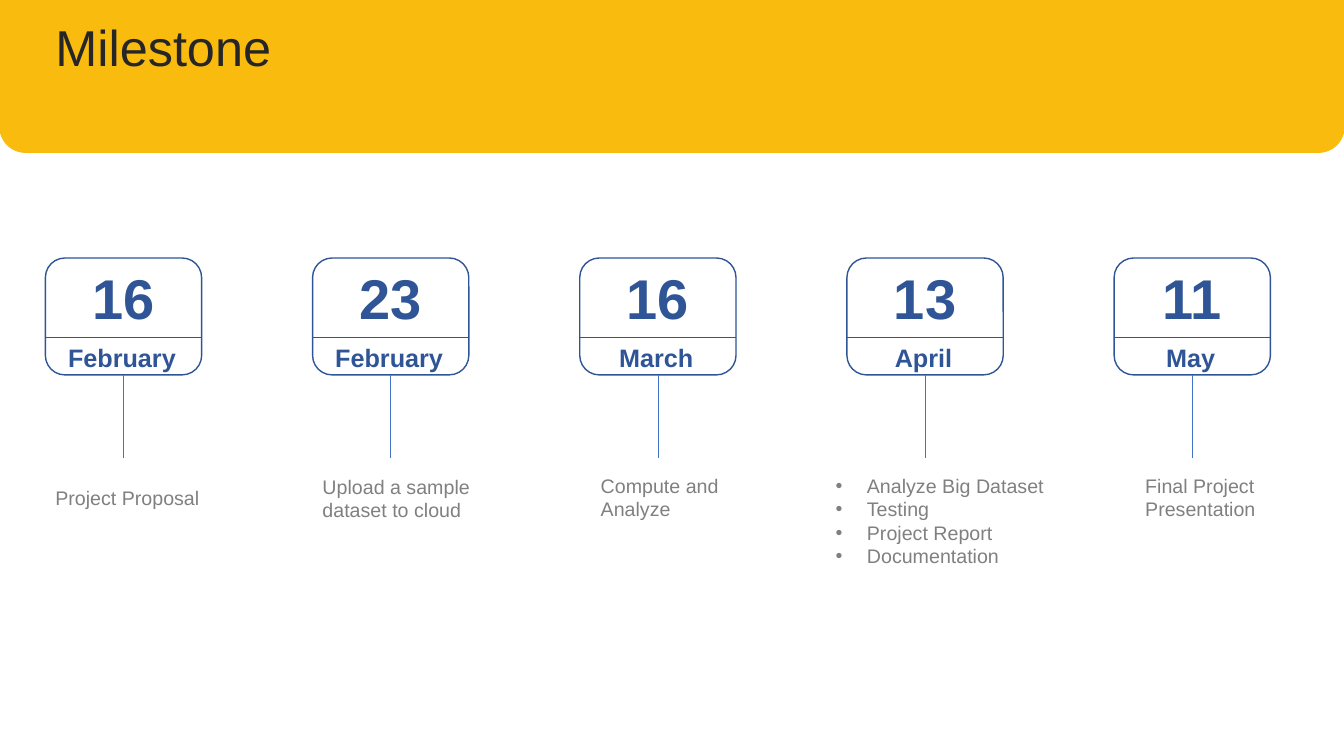
from lxml.etree import SubElement
from pptx import Presentation
from pptx.dml.color import RGBColor
from pptx.enum.shapes import MSO_CONNECTOR as CONN, MSO_SHAPE as SHAPE
from pptx.enum.text import MSO_ANCHOR as ANCHOR, MSO_AUTO_SIZE as AUTOSIZE, PP_ALIGN as ALIGN
from pptx.oxml.ns import qn
from pptx.util import Inches, Pt

YELLOW, NAVY, BLUE = "FABB0F", "2F5597", "4472C4"
WHITE, DARK, GRAY = "FFFFFF", "262626", "808080"

CARD_LEFT, CARD_TOP, CARD_W, CARD_H = 0.45, 2.56, 1.55, 1.16
CARD_STEP = 2.65
DIVIDER_Y = 3.35
STEM_LENGTH = 0.82

# day, month, task lines, box of the task text (left, top, width, height)
MILESTONES = [
    ("16", "February", ["Project Proposal"], (0.45, 4.77, 2.05, 0.34)),
    ("23", "February", ["Upload a sample dataset to cloud"], (3.1, 4.66, 1.69, 0.57)),
    ("16", "March", ["Compute and Analyze"], (5.86, 4.65, 1.43, 0.57)),
    ("13", "April",
     ["Analyze Big Dataset", "Testing", "Project Report", "Documentation"],
     (8.19, 4.65, 2.46, 1.04)),
    ("11", "May", ["Final Project Presentation"], (11.26, 4.65, 1.42, 0.57)),
]


def rgb(color):
    return RGBColor.from_string(color)


def add_run(p, text, size, color, bold=False):
    r = p.add_run()
    r.text = text
    r.font.name = "Arial"
    r.font.size = Pt(size)
    r.font.bold = bold
    r.font.color.rgb = rgb(color)


def add_bullet(p):
    """Give the paragraph a round bullet with a hanging indent."""
    pPr = p._p.get_or_add_pPr()
    pPr.set("marL", str(Inches(0.31)))
    pPr.set("indent", str(-Inches(0.31)))
    SubElement(pPr, qn("a:buFont"), typeface="Arial")
    SubElement(pPr, qn("a:buChar"), char="•")


def add_text(shapes, box, lines, size, color, bold=False, align=ALIGN.LEFT):
    """Add a text box; several lines become a bulleted list."""
    tf = shapes.add_textbox(*map(Inches, box)).text_frame
    tf.word_wrap = True
    for i, line in enumerate(lines):
        p = tf.paragraphs[0] if i == 0 else tf.add_paragraph()
        p.alignment = align
        if len(lines) > 1:
            add_bullet(p)
        add_run(p, line, size, color, bold)


def add_box(shapes, kind, box, fill, line):
    s = shapes.add_shape(kind, *map(Inches, box))
    s.shadow.inherit = False
    s.fill.solid()
    s.fill.fore_color.rgb = rgb(fill)
    s.line.color.rgb = rgb(line)
    s.line.width = Pt(1)
    return s


def add_line(shapes, x1, y1, x2, y2, color):
    c = shapes.add_connector(CONN.STRAIGHT, *map(Inches, (x1, y1, x2, y2)))
    c.line.color.rgb = rgb(color)
    c.line.width = Pt(0.5)
    SubElement(c._element.spPr, qn("a:effectLst"))
    return c


def add_banner(s):
    banner = add_box(s.shapes, SHAPE.ROUND_2_SAME_RECTANGLE,
                     (0, 0, 13.33, 1.51), YELLOW, YELLOW)
    banner.rotation = 180
    s.shapes.title._element.addprevious(banner._element)


def add_title(s, text):
    title = s.shapes.title
    title.left, title.top = Inches(0.45), Inches(0.11)
    title.width, title.height = Inches(9.79), Inches(0.71)
    tf = title.text_frame
    tf.auto_size = AUTOSIZE.NONE
    tf.vertical_anchor = ANCHOR.TOP
    p = tf.paragraphs[0]
    p.alignment = ALIGN.LEFT
    add_run(p, text, 36, DARK)


def add_date_card(s, x, day, month):
    """Group a calendar card and return its outline."""
    shapes = s.shapes.add_group_shape().shapes
    card = add_box(shapes, SHAPE.ROUNDED_RECTANGLE,
                   (x, CARD_TOP, CARD_W, CARD_H), WHITE, NAVY)
    add_text(shapes, (x + 0.13, 2.57, 1.29, 0.77), [day], 40, NAVY, True, ALIGN.CENTER)
    add_text(shapes, (x + 0.11, DIVIDER_Y, 1.3, 0.4), [month], 18, NAVY, True, ALIGN.CENTER)
    add_line(shapes, x, DIVIDER_Y, x + CARD_W, DIVIDER_Y, NAVY)
    return card


def add_milestone(s, x, day, month, tasks, task_box):
    card = add_date_card(s, x, day, month)
    add_text(s.shapes, task_box, tasks, 14, GRAY)
    center, bottom = x + CARD_W / 2, CARD_TOP + CARD_H
    stem = add_line(s.shapes, center, bottom, center, bottom + STEM_LENGTH, BLUE)
    stem.begin_connect(card, 2)


def main():
    prs = Presentation()
    prs.slide_width, prs.slide_height = Inches(13.33), Inches(7.5)
    s = prs.slides.add_slide(prs.slide_layouts.get_by_name("Title Only"))
    add_banner(s)
    add_title(s, "Milestone")
    for i, milestone in enumerate(MILESTONES):
        add_milestone(s, CARD_LEFT + i * CARD_STEP, *milestone)
    prs.save("out.pptx")


if __name__ == "__main__":
    main()
